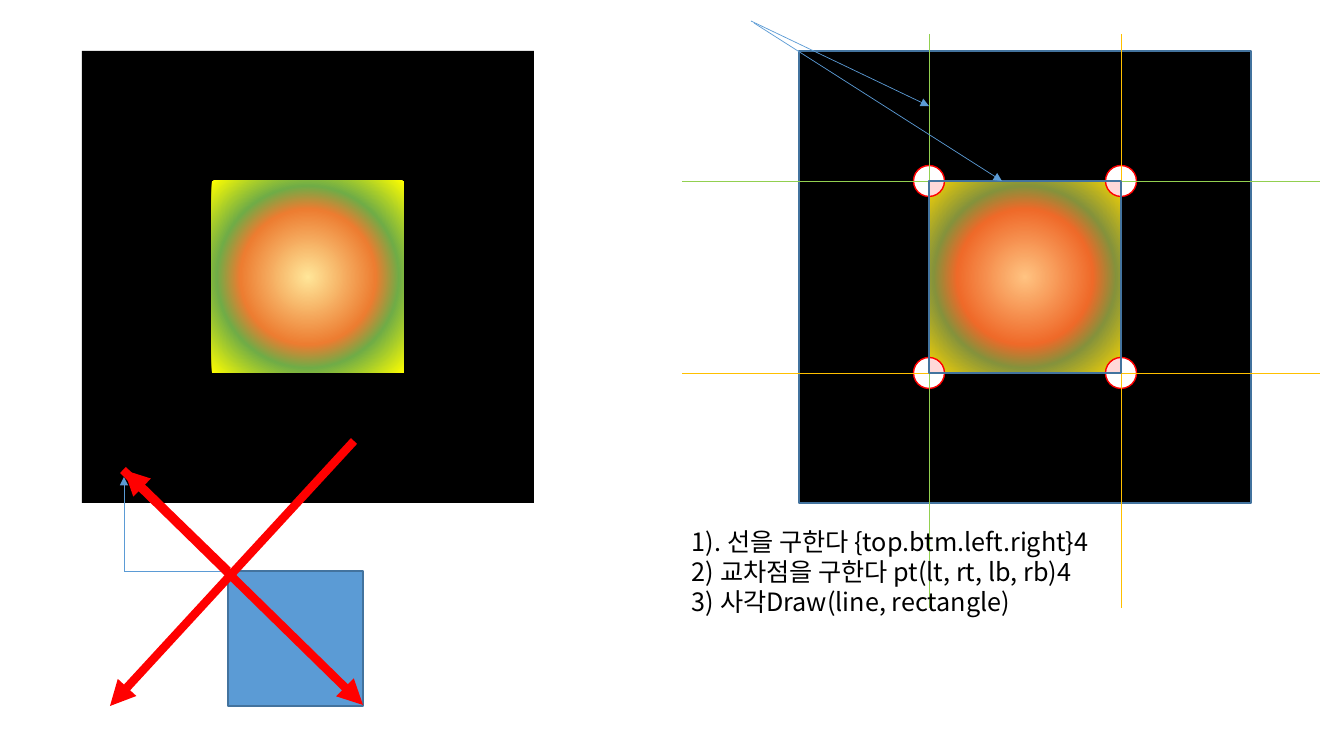
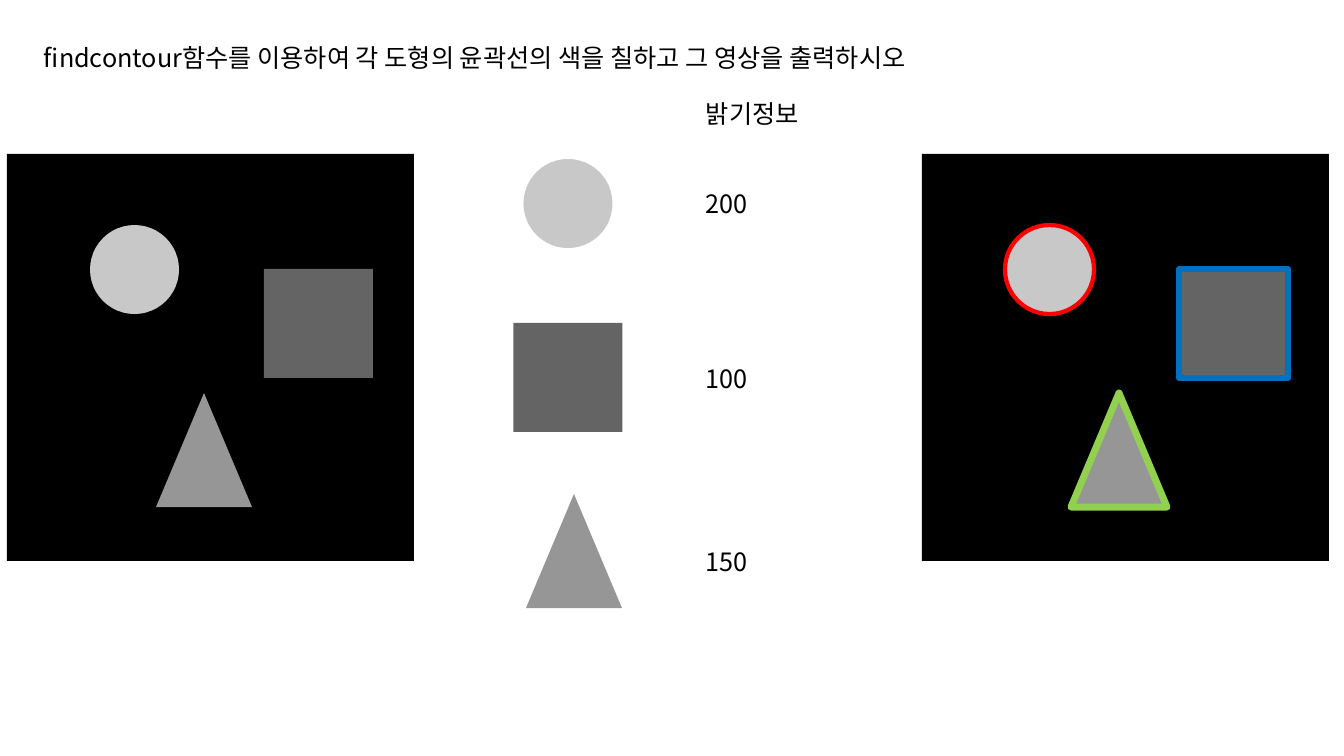
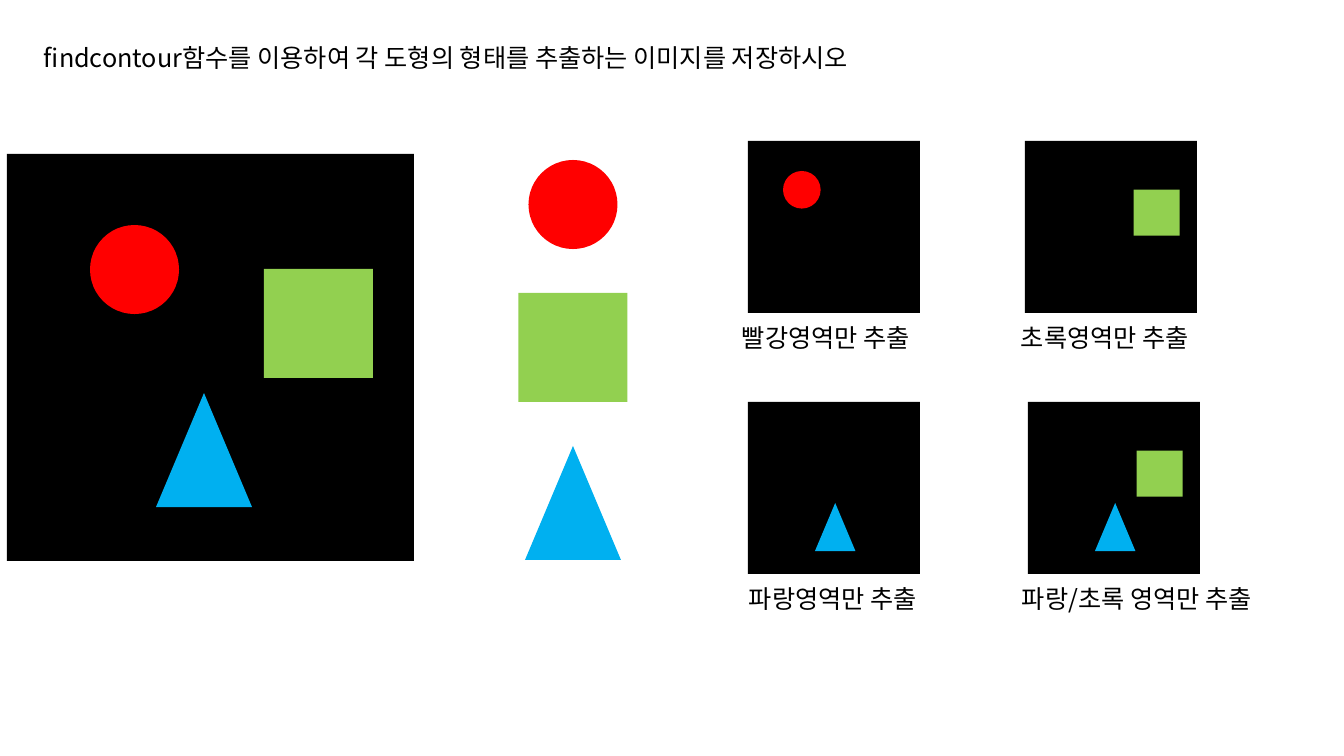
import lxml.etree
import pptx
import pptx.dml.color
import pptx.enum.shapes
import pptx.enum.text
import pptx.oxml
import pptx.oxml.ns
import pptx.util

WIDE, HIGH = 1344, 756
SCALE = 12192000 / WIDE
FONT = "Noto Sans CJK KR"
RGB = pptx.dml.color.RGBColor
KIND = pptx.enum.shapes.MSO_SHAPE
BLACK = RGB(0x00, 0x00, 0x00)
WHITE = RGB(0xFF, 0xFF, 0xFF)
RED = RGB(0xFF, 0x00, 0x00)
GREEN = RGB(0x92, 0xD0, 0x50)
GOLD = RGB(0xFF, 0xC0, 0x00)
SKY = RGB(0x00, 0xB0, 0xF0)
BLUE = RGB(0x00, 0x70, 0xC0)
STEEL = RGB(0x5B, 0x9B, 0xD5)
NAVY = RGB(0x43, 0x73, 0x9E)
LIGHT = RGB(0xC8, 0xC8, 0xC8)
DARK = RGB(0x64, 0x64, 0x64)
MID = RGB(0x96, 0x96, 0x96)
GLOW = ((0, RGB(0xFF, 0xE6, 0x99)), (50, RGB(0xED, 0x7D, 0x31)),
        (67, RGB(0x70, 0xAD, 0x47)), (100, RGB(0xFF, 0xFF, 0x00)))
SCENE = 407
PARTS = {
    "disc": (KIND.OVAL, 83, 71, 89, 89),
    "block": (KIND.RECTANGLE, 257, 115, 109, 109),
    "peak": (KIND.ISOSCELES_TRIANGLE, 149, 239, 96, 114),
}
GRAYS = {"disc": LIGHT, "block": DARK, "peak": MID}
HUES = {"disc": RED, "block": GREEN, "peak": SKY}
EDGES = {"disc": (RED, 3), "block": (BLUE, 4.25), "peak": (GREEN, 5)}


def emu(px):
    """Turn px into EMU."""
    return round(px * SCALE)


def tag(name):
    """Give the full name of an XML tag."""
    return pptx.oxml.ns.qn(name)


def draw(slide, kind, x, y, w, h, fill, edge=None, alpha=None):
    """Add a filled preset shape with an optional (colour, width) edge."""
    shape = slide.shapes.add_shape(kind, emu(x), emu(y), emu(w), emu(h))
    shape.shadow.inherit = False
    shape.fill.solid()
    shape.fill.fore_color.rgb = fill
    if alpha is not None:
        color = shape.fill._xPr.find(".//" + tag("a:srgbClr"))
        lxml.etree.SubElement(color, tag("a:alpha"), val=str(alpha * 1000))
    if edge:
        shape.line.color.rgb = edge[0]
        shape.line.width = pptx.util.Pt(edge[1])
    else:
        shape.line.fill.background()
    return shape


def glow(shape):
    """Give a shape the round gradient."""
    stops = "".join(
        f'<a:gs pos="{pos * 1000}"><a:srgbClr val="{color}"/></a:gs>'
        for pos, color in GLOW)
    grad = pptx.oxml.parse_xml(
        f'<a:gradFill {pptx.oxml.ns.nsdecls("a")} rotWithShape="1">'
        f'<a:gsLst>{stops}</a:gsLst><a:path path="circle">'
        '<a:fillToRect l="50000" t="50000" r="50000" b="50000"/>'
        '</a:path></a:gradFill>')
    props = shape._element.spPr
    props.replace(props.find(tag("a:solidFill")), grad)


def link(slide, x, y, x2, y2, color, width=0.5, arrow=False):
    """Add a straight line, with an arrowhead at its end on request."""
    line = slide.shapes.add_connector(
        pptx.enum.shapes.MSO_CONNECTOR.STRAIGHT,
        emu(x), emu(y), emu(x2), emu(y2))
    line.line.color.rgb = color
    line.line.width = pptx.util.Pt(width)
    props = line._element.spPr
    if arrow:
        lxml.etree.SubElement(props.find(tag("a:ln")), tag("a:tailEnd"),
                              type="triangle")
    lxml.etree.SubElement(props, tag("a:effectLst"))


def write(slide, text, x, y, w, h=40, size=18, color=BLACK):
    """Add a text box with one paragraph for each line of text."""
    box = slide.shapes.add_textbox(emu(x), emu(y), emu(w), emu(h))
    frame = box.text_frame
    frame.word_wrap = True
    frame.auto_size = pptx.enum.text.MSO_AUTO_SIZE.SHAPE_TO_FIT_TEXT
    frame.text = text
    for para in frame.paragraphs:
        para.line_spacing = pptx.util.Pt(size * 1.2)
        for run in para.runs:
            run.font.name = FONT
            run.font.size = pptx.util.Pt(size)
            run.font.color.rgb = color
            lxml.etree.SubElement(run.font._element, tag("a:ea"),
                                  typeface=FONT)


def board(slide, x, y, edge=None, size=452, inset=130):
    """Add a black board with a glowing core and return the core's box."""
    draw(slide, KIND.RECTANGLE, x, y, size, size, BLACK, edge)
    core = (x + inset, y + inset, size - 2 * inset, size - 2 * inset)
    glow(draw(slide, KIND.RECTANGLE, *core, BLACK, edge))
    return core


def guide(slide, x, y):
    """Add a board with its corners, guide lines and pointers."""
    edge = (NAVY, 1)
    left, top, wide, high = board(slide, x, y, edge)
    right, low = left + wide, top + high
    dot = 31
    for cy in (top, low):
        for cx in (left, right):
            draw(slide, KIND.OVAL, cx - dot / 2, cy - dot / 2, dot, dot,
                 WHITE, (RED, 1))
    for cy, color in ((top, GREEN), (low, GOLD)):
        link(slide, x - 117, cy, x + 521, cy, color)
    for cx, color in ((right, GOLD), (left, GREEN)):
        link(slide, cx, y - 17, cx, y + 557, color)
    draw(slide, KIND.RECTANGLE, left, top, wide, high, RED, edge, 15)
    write(slide, "1). 선을 구한다 {top.btm.left.right}4\n"
          "2) 교차점을 구한다 pt(lt, rt, lb, rb)4\n"
          "3) 사각Draw(line, rectangle)", x - 117, y + 470, 425, 102)
    link(slide, x - 45, y - 28, x + 203, top, STEEL, arrow=True)
    link(slide, x - 48, y - 30, left, y + 55, STEEL, arrow=True)


def cross(slide, x, y, size=135):
    """Add the blue square with its axes and red arrows."""
    draw(slide, KIND.RECTANGLE, x, y, size, size, STEEL, (NAVY, 1))
    link(slide, x, y, x - 104, y, STEEL)
    link(slide, x - 104, y, x - 104, y - 94, STEEL, arrow=True)
    for ax, ay, bx, by in ((0, 0, -104, -101), (-105, -101, size, size - 1),
                           (126, -130, -118, size)):
        link(slide, x + ax, y + ay, x + bx, y + by, RED, 6, True)


def scene(slide, x, y, fills, size=SCENE, edges=None, push=0):
    """Add a black square holding the named parts, scaled to its size."""
    draw(slide, KIND.RECTANGLE, x, y, size, size, BLACK)
    rate = size / SCENE
    for name, fill in fills.items():
        kind, px, py, w, h = PARTS[name]
        nudge = push if name == "peak" else 0
        draw(slide, kind, x + px * rate + nudge, y + py * rate,
             w * rate, h * rate, fill, (edges or {}).get(name))


def stack(slide, mids, tops, fills):
    """Add the parts one below another at full size."""
    for (name, fill), mid, top in zip(fills.items(), mids, tops):
        kind, _, _, w, h = PARTS[name]
        draw(slide, kind, mid - w / 2, top, w, h, fill)


def title(slide, text):
    """Add the task line at the top."""
    write(slide, text, 34, 37, 1000)


def lines(slide):
    """Build the slide on lines and corners."""
    board(slide, 82, 51)
    guide(slide, 799, 51)
    cross(slide, 228, 571)


def edging(slide):
    """Build the slide on painted contours."""
    scene(slide, 7, 154, GRAYS)
    stack(slide, (568, 568, 574), (159, 323, 494), GRAYS)
    for text, y in (("밝기정보", 93), ("200", 183), ("100", 358),
                    ("150", 541)):
        write(slide, text, 696, y, 122)
    scene(slide, 922, 154, GRAYS, edges=EDGES)
    title(slide, "findcontour함수를 이용하여 각 도형의 윤곽선의 색을 칠하고 "
          "그 영상을 출력하시오")


def picking(slide):
    """Build the slide on parts picked by colour."""
    scene(slide, 7, 154, HUES)
    title(slide, "findcontour함수를 이용하여 각 도형의 형태를 추출하는 "
          "이미지를 저장하시오")
    tops, gap = [160], 44
    for name in ("disc", "block"):
        tops.append(tops[-1] + PARTS[name][4] + gap)
    stack(slide, (573,) * 3, tops, HUES)
    for x, y, shift, names, text in (
            (748, 141, -16, ("disc",), "빨강영역만 추출"),
            (1025, 141, -14, ("block",), "초록영역만 추출"),
            (748, 402, -9, ("peak",), "파랑영역만 추출"),
            (1028, 402, -16, ("block", "peak"), "파랑/초록 영역만 추출")):
        scene(slide, x, y, {name: HUES[name] for name in names}, 172, push=4)
        write(slide, text, x + shift, y + 176, 277)


def main():
    """Build and save the slides."""
    deck = pptx.Presentation()
    deck.slide_width, deck.slide_height = emu(WIDE), emu(HIGH)
    for build in (lines, edging, picking):
        build(deck.slides.add_slide(deck.slide_layouts[6]))
    deck.save("out.pptx")


if __name__ == "__main__":
    main()
